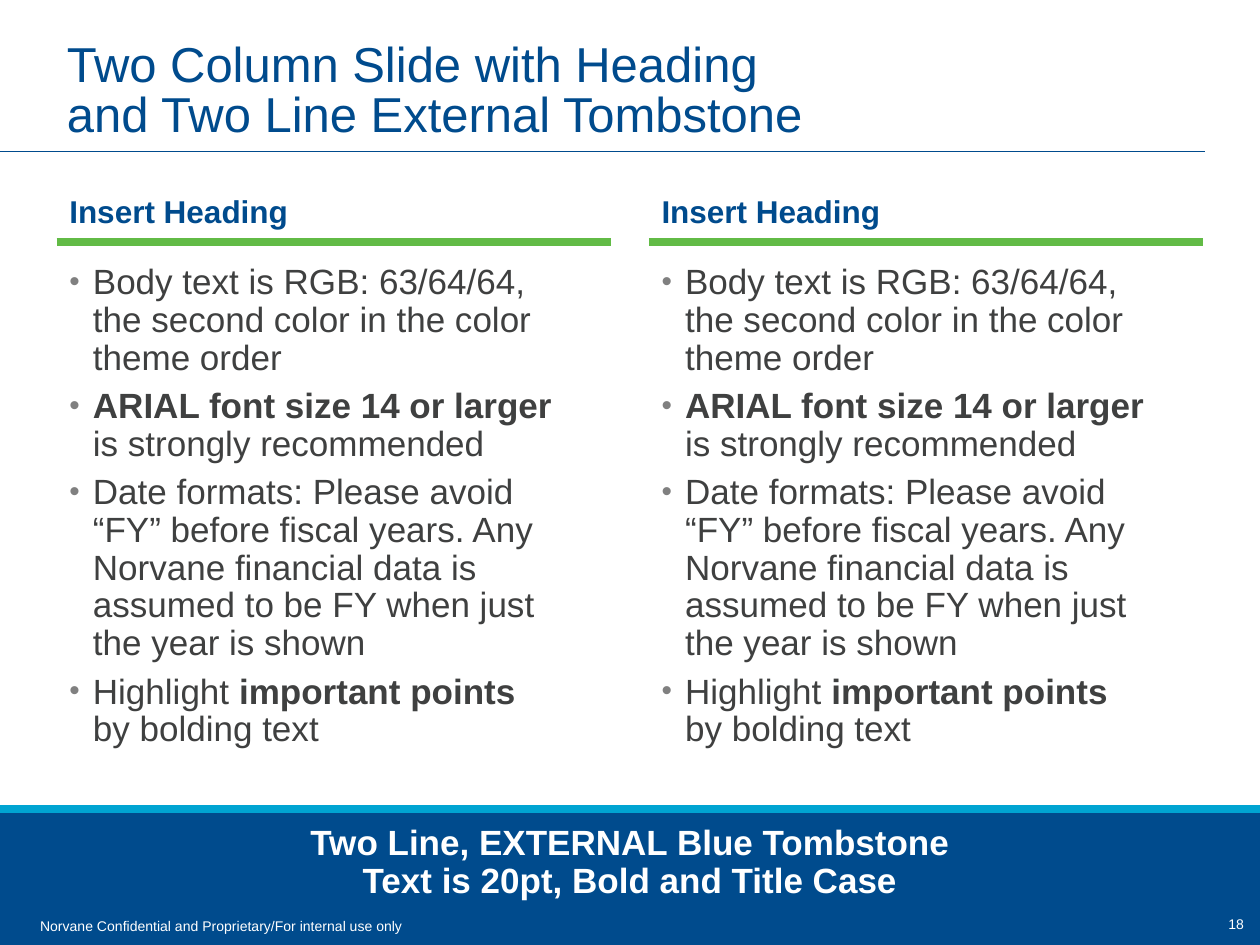
from dataclasses import dataclass

from lxml import etree
from pptx import Presentation
from pptx.dml.color import RGBColor
from pptx.enum import shapes, text
from pptx.oxml import ns
from pptx.util import Pt


@dataclass(frozen=True)
class Theme:
    font: str = "Arial"
    blue: str = "004B8D"
    cyan: str = "00A4D2"
    green: str = "62BB46"
    body: str = "3F4040"
    bullet: str = "808080"
    white: str = "FFFFFF"
    title_size: int = 28
    heading_size: int = 18
    body_size: int = 20
    small_size: int = 8


THEME = Theme()
LEFT, CENTER, RIGHT = text.PP_ALIGN.LEFT, text.PP_ALIGN.CENTER, text.PP_ALIGN.RIGHT
TOP, MIDDLE, BOTTOM = text.MSO_ANCHOR.TOP, text.MSO_ANCHOR.MIDDLE, text.MSO_ANCHOR.BOTTOM

# Each paragraph is a list of (text, bold) runs; "\n" marks a line break.
TITLE = [[("Two Column Slide with Heading \nand Two Line External Tombstone", False)]]
HEADING = [[("Insert Heading", True)]]
BULLETS = [
    [("Body text is RGB: 63/64/64, \nthe second color in the color theme order", False)],
    [("ARIAL font size 14 or larger \n", True), ("is strongly recommended", False)],
    [("Date formats: Please avoid \n“FY” before fiscal years. Any Norvane financial data "
      "is assumed to be FY when just \nthe year is shown", False)],
    [("Highlight ", False), ("important points \n", True), ("by bolding text", False)],
]
TOMBSTONE = [
    [("Two Line, EXTERNAL Blue Tombstone", True)],
    [("Text is 20pt, Bold and Title Case", True)],
]
FOOTER = [[("Norvane Confidential and Proprietary/For internal use only", False)]]
PAGE_NUMBER = [[("18", False)]]


def place(shape, left, top, width, height):
    shape.left, shape.top = Pt(left), Pt(top)
    shape.width, shape.height = Pt(width), Pt(height)


def add_text_box(slide, left, top, width, height):
    return slide.shapes.add_textbox(Pt(left), Pt(top), Pt(width), Pt(height))


def add_line(slide, left, top, width, color, weight):
    """Add a horizontal line without a shadow."""
    line = slide.shapes.add_connector(
        shapes.MSO_CONNECTOR.STRAIGHT, Pt(left), Pt(top), Pt(left + width), Pt(top))
    line.line.color.rgb = RGBColor.from_string(color)
    line.line.width = Pt(weight)
    etree.SubElement(line._element.spPr, ns.qn("a:effectLst"))


def add_bullet(paragraph):
    properties = paragraph._p.get_or_add_pPr()
    properties.set("marL", str(Pt(13.5)))
    properties.set("indent", str(Pt(-13.5)))
    color = etree.SubElement(properties, ns.qn("a:buClr"))
    etree.SubElement(color, ns.qn("a:srgbClr"), val=THEME.bullet)
    etree.SubElement(properties, ns.qn("a:buSzPct"), val="85000")
    etree.SubElement(properties, ns.qn("a:buFont"), typeface=THEME.font)
    etree.SubElement(properties, ns.qn("a:buChar"), char="•")


def write(shape, paragraphs, size, color, align=LEFT, anchor=TOP, inset_top=3.6,
          inset_bottom=3.6, line_spacing=1.0, gap=0, bulleted=False):
    frame = shape.text_frame
    frame.word_wrap = True
    frame.auto_size = text.MSO_AUTO_SIZE.NONE
    frame.vertical_anchor = anchor
    frame.margin_left = frame.margin_right = Pt(7.2)
    frame.margin_top, frame.margin_bottom = Pt(inset_top), Pt(inset_bottom)
    for index, runs in enumerate(paragraphs):
        paragraph = frame.add_paragraph() if index else frame.paragraphs[0]
        paragraph.alignment = align
        paragraph.line_spacing = line_spacing
        paragraph.space_before = paragraph.space_after = Pt(gap)
        if bulleted:
            add_bullet(paragraph)
        for words, bold in runs:
            for line_index, line in enumerate(words.split("\n")):
                if line_index:
                    paragraph.add_line_break()
                if line:
                    run = paragraph.add_run()
                    run.text = line
                    run.font.name = THEME.font
                    run.font.size = Pt(size)
                    run.font.bold = bold
                    run.font.color.rgb = RGBColor.from_string(color)


def build_title(slide, left, top, width, height):
    title = slide.shapes.title
    place(title, left, top, width, height)
    write(title, TITLE, THEME.title_size, THEME.blue, anchor=BOTTOM, line_spacing=0.85)
    add_line(slide, 0, top + height + 1.4, left + width, THEME.blue, 0.75)


def build_column(slide, heading, body, left, top, width, height):
    """Place a heading, a green rule and a bulleted list in one column."""
    heading_height, body_offset = 36, 48
    place(heading, left, top, width, heading_height)
    write(heading, HEADING, THEME.heading_size, THEME.blue, anchor=BOTTOM,
          inset_top=7.2, inset_bottom=0, line_spacing=0.9, gap=3)
    add_line(slide, left, top + 42.4, width, THEME.green, 4.5)
    place(body, left, top + body_offset, width, height - body_offset)
    write(body, BULLETS, THEME.body_size, THEME.body, inset_top=7.2,
          line_spacing=0.9, gap=3, bulleted=True)


def build_tombstone(slide, left, top, width, height):
    """Draw the blue band with its message, footer and page number."""
    band = slide.shapes.add_shape(
        shapes.MSO_SHAPE.RECTANGLE, Pt(left), Pt(top), Pt(width), Pt(height))
    band.shadow.inherit = False
    band.fill.solid()
    band.fill.fore_color.rgb = RGBColor.from_string(THEME.blue)
    band.line.fill.background()
    add_line(slide, left, top, width, THEME.cyan, 4.5)

    message = add_text_box(slide, left + 8.4, top + 9.4, width - 16.8, 49)
    write(message, TOMBSTONE, THEME.body_size, THEME.white, align=CENTER,
          inset_top=0, line_spacing=0.9)
    footer = add_text_box(slide, left + 15.8, top + 58.4, 656.6, 19.4)
    write(footer, FOOTER, THEME.small_size, THEME.white)
    number = add_text_box(slide, left + width - 44.6, top + 58.4, 42.5, 15.1)
    write(number, PAGE_NUMBER, THEME.small_size, THEME.white, align=RIGHT, anchor=MIDDLE)


def main():
    presentation = Presentation()
    presentation.slide_width, presentation.slide_height = Pt(720), Pt(540)
    comparison_layout = presentation.slide_layouts[4]
    slide = presentation.slides.add_slide(comparison_layout)

    build_tombstone(slide, 0, 462.2, 720, 77.8)
    build_title(slide, 31, 10, 657.6, 75)
    column_width, column_gap = 316.8, 21.6
    for column in range(2):
        heading, body = (slide.placeholders[2 * column + part] for part in (1, 2))
        build_column(slide, heading, body, 32.4 + column * (column_width + column_gap),
                     95.8, column_width, 354)
    presentation.save("out.pptx")


if __name__ == "__main__":
    main()
